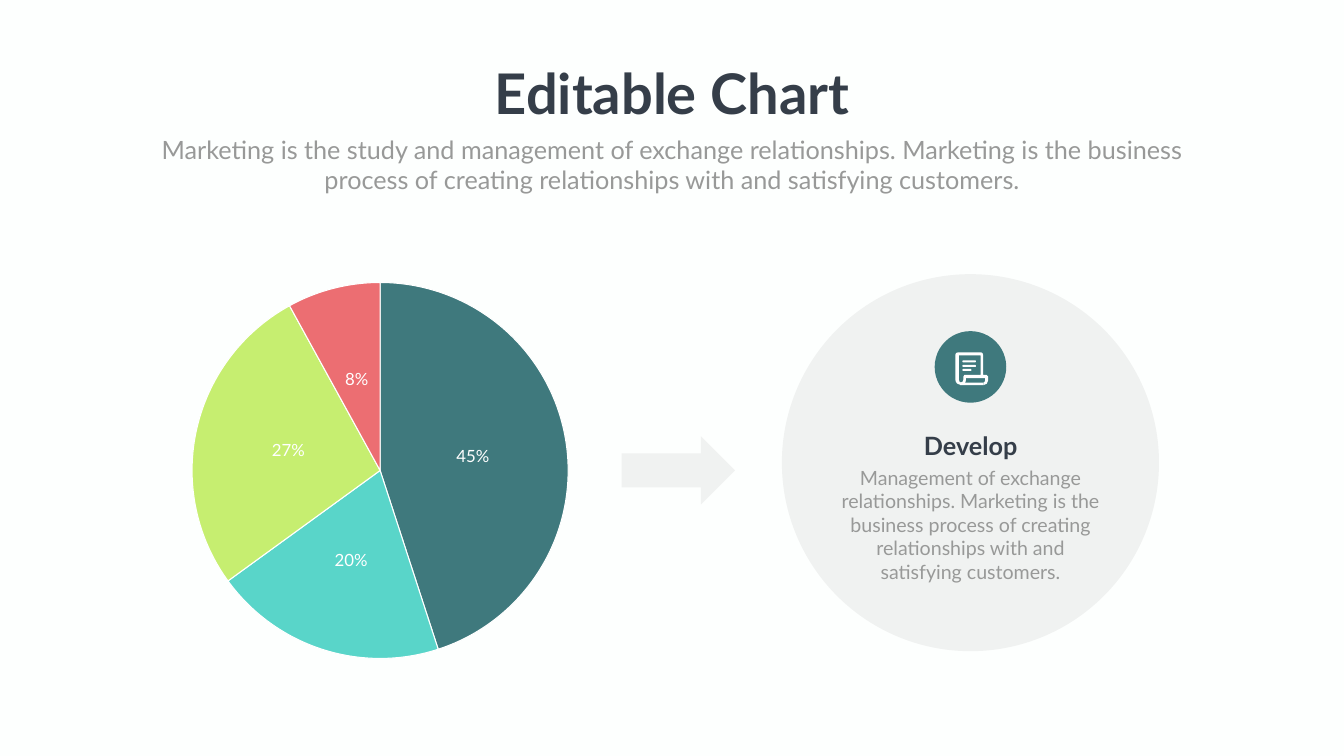
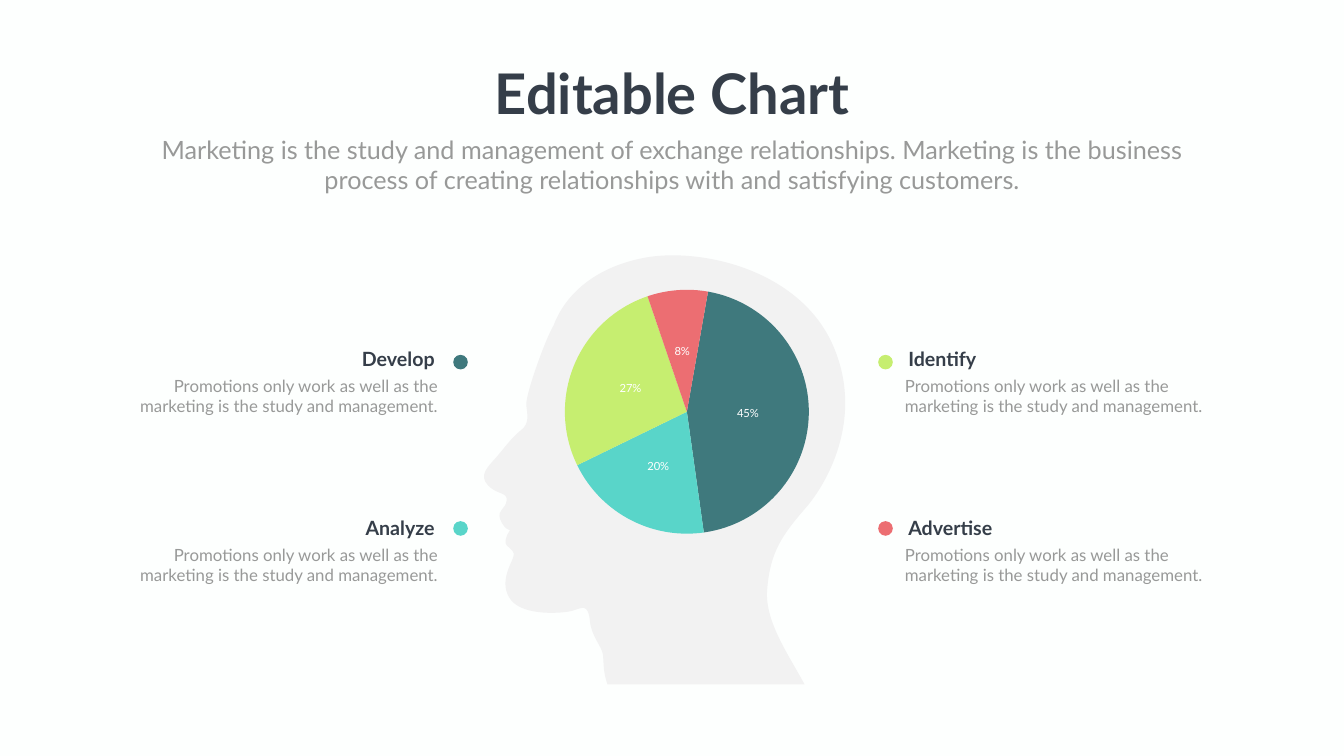
import pptx
import pptx.chart.data
import pptx.dml.color
import pptx.enum.chart
import pptx.enum.shapes
import pptx.enum.text
import pptx.oxml.ns
import pptx.util

Inches = pptx.util.Inches
SHAPE = pptx.enum.shapes.MSO_SHAPE
ALIGN = pptx.enum.text.PP_ALIGN
qn = pptx.oxml.ns.qn

FONT = "Lato"
BACKGROUND, INK, GREY, WHITE = "FDFFFE", "353E49", "989998", "FFFFFF"
VEIL, HEAD_GREY = "808080", "F2F2F2"
SLICES = ["3F797D", "59D5C9", "C6EE70", "EC6E72"]
SHARES = [45, 20, 27, 8]

TITLE = "Editable Chart"
SUBTITLE = ("Marketing is the study and management of exchange relationships. "
            "Marketing is the business process of creating relationships with "
            "and satisfying customers.")
DEVELOP = ("Management of exchange relationships. Marketing is the business "
           "process of creating relationships with and satisfying customers.")
PROMOTION = "Promotions only work as well as the marketing is the study and management."

# Outlines: a start point, then segments of one point (line) or three (curve).
HEAD_START = (10.98, 6.46)
HEAD = [
    [(10.83, 6.7), (10.42, 7.83), (10.44, 8.04)],
    [(10.46, 8.22), (10.51, 8.41), (10.33, 8.54)],
    [(10.14, 8.69), (9.99, 8.91), (9.83, 9.09)],
    [(9.68, 9.26), (9.49, 9.43), (9.68, 9.63)],
    [(9.86, 9.82), (10.07, 9.76), (10.05, 9.93)],
    [(10.03, 10.11), (9.86, 10.11), (9.92, 10.3)],
    [(10.01, 10.52), (10.12, 10.52), (10.12, 10.52)],
    [(10.12, 10.52), (9.97, 10.71), (10.05, 10.82)],
    [(10.14, 10.91), (10.23, 10.95), (10.18, 11.06)],
    [(10.14, 11.19), (9.88, 11.58), (10.14, 11.91)],
    [(10.4, 12.23), (11.16, 12.17), (11.35, 12.12)],
    [(11.55, 12.06), (11.66, 11.97), (11.7, 12.3)],
    [(11.72, 12.62), (11.94, 12.82), (11.96, 12.99)],
    [(11.98, 13.17), (11.96, 13.32), (12.05, 13.58)],
    [(15.96, 13.58)],
    [(15.63, 12.97), (15.15, 12.3), (15.22, 11.67)],
    [(15.28, 10.95), (15.52, 10.61), (15.98, 10.08)],
    [(16.45, 9.54), (17.17, 8.2), (16.48, 6.76)],
    [(15.78, 5.33), (13.89, 4.92), (12.81, 5.11)],
    [(11.72, 5.31), (11.18, 5.92), (10.98, 6.46)],
]
SCROLL_START = (19.51, 7.64)
SCROLL = [
    [(19.51, 7.59)],
    [(19.53, 7.59), (19.54, 7.56), (19.54, 7.55)],
    [(19.54, 7.5)], [(19.16, 7.5)], [(19.16, 7.53)],
    [(19.16, 7.6), (19.12, 7.64), (19.06, 7.64)],
    [(19.01, 7.64), (18.95, 7.6), (18.95, 7.53)],
    [(18.95, 7.04)],
    [(18.95, 7.01), (18.97, 6.99), (19.01, 6.99)],
    [(19.46, 6.99)],
    [(19.48, 6.99), (19.5, 7.01), (19.5, 7.04)],
    [(19.5, 7.44)], [(19.57, 7.44)],
    [(19.58, 7.44), (19.6, 7.46), (19.6, 7.47)],
    [(19.6, 7.55)],
    [(19.6, 7.6), (19.56, 7.64), (19.51, 7.64)],
]
PAGE_START = (19.02, 7.05)
PAGE = [
    [(19.02, 7.53)],
    [(19.02, 7.56), (19.04, 7.59), (19.06, 7.59)],
    [(19.09, 7.59), (19.11, 7.56), (19.11, 7.53)],
    [(19.11, 7.47)],
    [(19.11, 7.46), (19.12, 7.44), (19.13, 7.44)],
    [(19.45, 7.44)], [(19.45, 7.05)], [(19.02, 7.05)],
]


def rgb(value):
    return pptx.dml.color.RGBColor.from_string(value)


def place(shape, box):
    shape.left, shape.top, shape.width, shape.height = map(Inches, box)


def write(shape, text, size, color=GREY, bold=False, align=ALIGN.CENTER, wrap=True):
    frame = shape.text_frame
    frame.text = text
    frame.word_wrap = wrap
    frame.auto_size = pptx.enum.text.MSO_AUTO_SIZE.SHAPE_TO_FIT_TEXT
    frame.vertical_anchor = pptx.enum.text.MSO_ANCHOR.TOP
    paragraph = frame.paragraphs[0]
    paragraph.alignment = align
    font = paragraph.runs[0].font
    font.name, font.size, font.bold = FONT, pptx.util.Pt(size), bold
    font.color.rgb = rgb(color)


def add_text(slide, box, text, size, **style):
    write(slide.shapes.add_textbox(*map(Inches, box)), text, size, **style)


def paint(shape, color, opacity=100):
    """Fill flat, without line or shadow; opacity in percent."""
    shape.shadow.inherit = False
    shape.line.fill.background()
    shape.fill.solid()
    shape.fill.fore_color.rgb = rgb(color)
    if opacity < 100:
        tint = shape._element.spPr.find(qn("a:solidFill"))[0]
        tint.append(tint.makeelement(qn("a:alpha"), {"val": str(opacity * 1000)}))


def add_form(slide, kind, box, color, opacity=100):
    shape = slide.shapes.add_shape(kind, *map(Inches, box))
    paint(shape, color, opacity)
    return shape


def bend(shape, segments):
    """Turn each run of three lines that stands for a curve into that curve."""
    lines = iter(list(shape._element.iter(qn("a:lnTo"))))
    for segment in segments:
        first, *others = [next(lines) for _ in segment]
        if others:
            curve = first.makeelement(qn("a:cubicBezTo"), {})
            first.addprevious(curve)
            for line in (first, *others):
                curve.append(line[0])
                line.getparent().remove(line)


def add_outline(slide, color, *contours):
    """Contours are (start, segments) pairs; an inner one cuts a hole."""
    builder = None
    for start, segments in contours:
        x, y = map(Inches, start)
        if builder is None:
            builder = slide.shapes.build_freeform(x, y)
        else:
            builder.move_to(x, y)
        builder.add_line_segments([tuple(map(Inches, point))
                                   for segment in segments for point in segment])
    outline = builder.convert_to_shape()
    bend(outline, [segment for _, segments in contours for segment in segments])
    paint(outline, color)


def set_plot_layout(chart, width, height):
    """Centre the plot, with its size as fractions of the chart."""
    area = chart._chartSpace.chart.plotArea
    for old in area.findall(qn("c:layout")):
        area.remove(old)
    layout = area.makeelement(qn("c:layout"), {})
    manual = layout.makeelement(qn("c:manualLayout"), {})
    layout.append(manual)
    settings = {"layoutTarget": "inner", "xMode": "edge", "yMode": "edge",
                "x": (1 - width) / 2, "y": (1 - height) / 2, "w": width, "h": height}
    for tag, value in settings.items():
        manual.append(manual.makeelement(qn(f"c:{tag}"), {"val": str(value)}))
    area.insert(0, layout)


def add_pie(slide, box, diameter, size, angle=0, edge=None):
    data = pptx.chart.data.CategoryChartData()
    data.categories = ["1", "2", "3", "4"]
    data.add_series("Series 1", SHARES)
    chart = slide.shapes.add_chart(pptx.enum.chart.XL_CHART_TYPE.PIE,
                                   *map(Inches, box), data).chart
    chart.has_legend = chart.has_title = False
    plot = chart.plots[0]
    plot.vary_by_categories = True
    series = plot.series[0]
    for index, color in enumerate(SLICES):
        slice_format = series.points[index].format
        slice_format.fill.solid()
        slice_format.fill.fore_color.rgb = rgb(color)
        if edge:
            slice_format.line.color.rgb = rgb(edge)
            slice_format.line.width = pptx.util.Pt(1.5)
        else:
            slice_format.line.fill.background()
    labels = series.data_labels
    labels.show_value, labels.show_percentage = False, True
    labels.number_format, labels.number_format_is_linked = "0%", False
    labels.position = pptx.enum.chart.XL_LABEL_POSITION.CENTER
    for font in (chart.font, labels.font):
        font.name, font.size = FONT, pptx.util.Pt(size)
        font.color.rgb = rgb(WHITE)
    pie = plot._element
    for old in pie.findall(qn("c:firstSliceAng")):
        pie.remove(old)
    pie.append(pie.makeelement(qn("c:firstSliceAng"), {"val": str(angle)}))
    set_plot_layout(chart, diameter / box[2], diameter / box[3])


def add_titled_slide(prs):
    slide = prs.slides.add_slide(prs.slide_layouts.get_by_name("Title Only"))
    title = slide.shapes.title
    place(title, (9.65, 1.12, 7.37, 1.45))
    write(title, TITLE, 80, color=INK, bold=True, wrap=False)
    add_text(slide, (2.92, 2.61, 20.82, 1.31), SUBTITLE, 36)
    return slide


def add_scroll_icon(slide):
    add_form(slide, SHAPE.OVAL, (18.54, 6.57, 1.42, 1.42), SLICES[0])
    add_form(slide, SHAPE.RECTANGLE, (19.05, 7.59, 0.46, 0.05), WHITE)
    add_outline(slide, WHITE, (SCROLL_START, SCROLL), (PAGE_START, PAGE))
    for top, width in ((7.15, 0.27), (7.24, 0.27), (7.32, 0.18)):
        bar = add_form(slide, SHAPE.ROUNDED_RECTANGLE, (19.09, top, width, 0.04), WHITE)
        bar.adjustments[0] = 0.5


def add_legend_entry(slide, name, color, row, on_left):
    top = 6.84 + 3.34 * row
    text_left, name_left, dot_left = (1.87, 6.52, 8.99) if on_left else (17.85, 17.92, 17.42)
    align = ALIGN.RIGHT if on_left else ALIGN.LEFT
    add_text(slide, (text_left, top + 0.57, 6.91, 0.91), PROMOTION, 24, align=align)
    add_text(slide, (name_left, top, 2.2, 0.57), name, 28, color=INK, bold=True, align=align)
    add_form(slide, SHAPE.OVAL, (dot_left, 7.04 + 3.3 * row, 0.29, 0.29), color)


def build_develop_slide(prs):
    slide = add_titled_slide(prs)
    add_pie(slide, (3.67, 5.44, 7.74, 7.79), 7.46, 24, edge=WHITE)
    add_form(slide, SHAPE.RIGHT_ARROW, (12.33, 8.66, 2.25, 1.35), VEIL, opacity=10)
    add_form(slide, SHAPE.OVAL, (15.51, 5.44, 7.48, 7.48), VEIL, opacity=10)
    add_text(slide, (16.54, 9.19, 5.42, 2.46), DEVELOP, 28)
    add_text(slide, (17.63, 8.49, 3.25, 0.71), "Develop", 36, color=INK, bold=True)
    add_scroll_icon(slide)


def build_head_slide(prs):
    slide = add_titled_slide(prs)
    entries = zip(("Develop", "Analyze", "Identify", "Advertise"), SLICES)
    for index, (name, color) in enumerate(entries):
        add_legend_entry(slide, name, color, row=index % 2, on_left=index < 2)
    add_outline(slide, HEAD_GREY, (HEAD_START, HEAD))
    add_pie(slide, (11.07, 5.6, 5.11, 5.14), 4.84, 16, angle=10)


def main():
    prs = pptx.Presentation()
    prs.slide_width, prs.slide_height = Inches(26.66), Inches(15)
    background = prs.slide_master.background.fill
    background.solid()
    background.fore_color.rgb = rgb(BACKGROUND)
    build_develop_slide(prs)
    build_head_slide(prs)
    prs.save("out.pptx")


if __name__ == "__main__":
    main()
